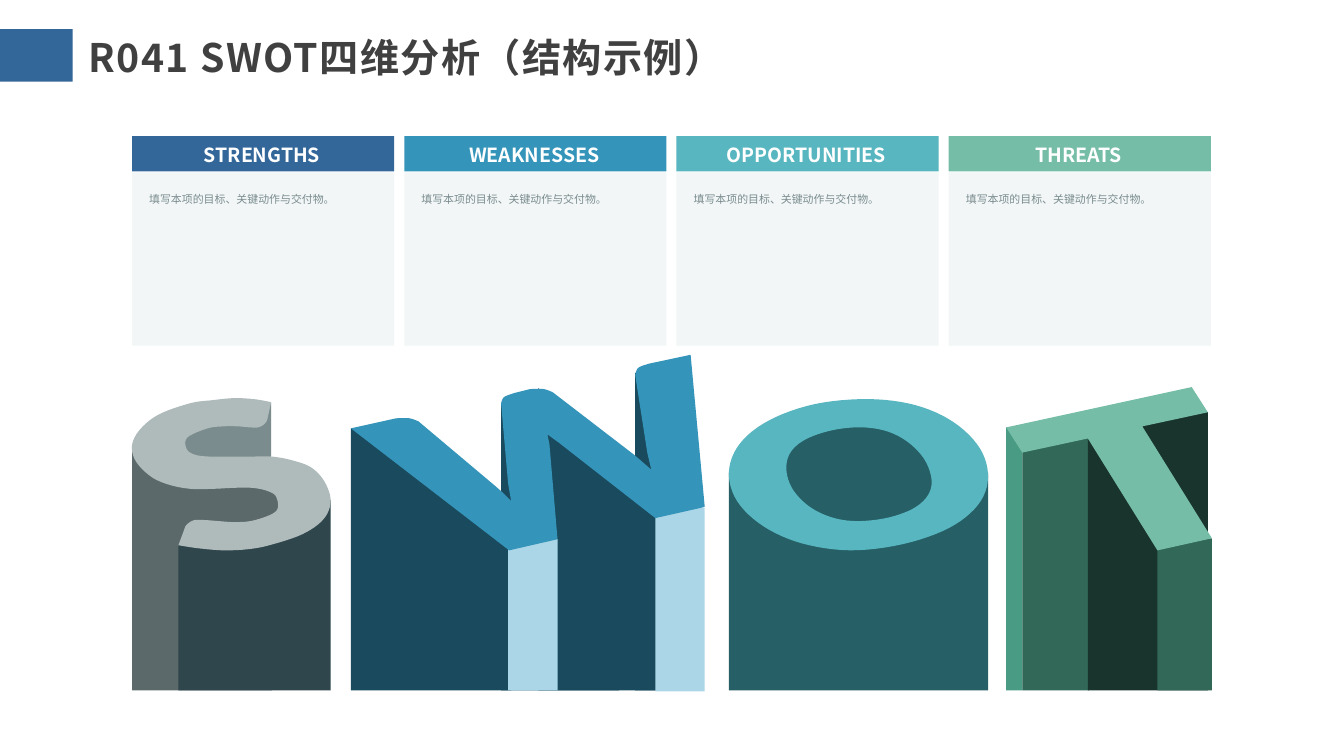
"""Build a SWOT slide: four cards above four solid letters."""
from dataclasses import dataclass
from itertools import chain

from lxml.etree import SubElement
from pptx import Presentation
from pptx.dml.color import RGBColor as Rgb
from pptx.enum.shapes import MSO_SHAPE as Kind
from pptx.enum.text import MSO_ANCHOR as Anchor, PP_ALIGN as Align
from pptx.oxml.ns import qn
from pptx.util import Cm, Pt

FONT = "Noto Sans CJK SC"
NOTE = "填写本项的目标、关键动作与交付物。"
UNIT = 2.54
STEPS = 6

Point = tuple[float, float]


@dataclass
class Card:
    name: str
    color: str


@dataclass
class Block:
    color: str
    x: float
    y: float
    w: float
    h: float


@dataclass
class Face:
    """Loops of runs split by "|"; a run of three or more points is curved."""
    color: str
    loops: list[str]


CARDS = [
    Card("STRENGTHS", "336699"),
    Card("WEAKNESSES", "3494BA"),
    Card("OPPORTUNITIES", "58B6C0"),
    Card("THREATS", "75BDA7"),
]

TEE = [
    Block("4A9B83", 9.98, 4.24, 0.16, 2.61),
    Block("316857", 10.14, 4.3, 0.66, 2.55),
    Block("19342C", 10.79, 4.09, 1.19, 2.76),
    Block("316857", 11.48, 5.34, 0.54, 1.51),
    Face("75BDA7", ["11.82,3.84 | 11.98,4.09 | 11.33,4.23 | 12.02,5.34 | "
                    "11.48,5.46 | 10.79,4.35 | 10.14,4.49 | 9.98,4.24"]),
]

OH = [
    Block("266066", 7.74, 4.17, 1.58, 1.08),
    Face("266066", ["7.23,4.69 | 7.5,4.69 | 8.56,5.4 | 9.5,4.69 | "
                    "9.8,4.69 | 9.8,6.85 | 7.23,6.85"]),
    Face("58B6C0", [
        "9.46,4.19 9.72,4.45 9.8,4.74 9.7,5.01 9.41,5.24 8.95,5.4 8.43,5.46 "
        "7.95,5.39 7.57,5.22 7.31,4.97 7.23,4.68 7.34,4.4 7.63,4.17 "
        "8.08,4.01 8.61,3.96 9.08,4.02 9.46,4.19",
        "9.24,4.76 9.17,4.56 9.01,4.39 8.8,4.28 8.54,4.24 8.25,4.27 "
        "7.99,4.36 7.84,4.49 7.8,4.66 7.86,4.85 8.02,5.02 8.24,5.13 "
        "8.49,5.17 8.79,5.14 9.05,5.05 9.2,4.92 9.24,4.76"]),
]

ESS = [
    Face("7A8C8E", ["1.74,4.15 | 2.69,4 | 2.69,4.54 | 1.83,4.54"]),
    Face("5B696B", ["1.31,4.42 | 2.97,4.73 | 2.7,6.85 | 1.31,6.85"]),
    Face("2F464C", ["3.28,4.96 | 3.28,6.85 | 1.77,6.85 | 1.77,5.41"]),
    Face("AFBABB", [
        "2.65,4.17 2.62,4.21 2.56,4.24 2.48,4.24 2.36,4.23 2.22,4.23 "
        "2.06,4.25 1.86,4.34 1.85,4.45 1.93,4.51 2.08,4.53 2.27,4.53 "
        "2.48,4.53 2.7,4.53 2.91,4.57 3.09,4.64 3.22,4.78 3.28,4.97 "
        "3.21,5.15 3,5.3 2.67,5.41 2.45,5.45 2.21,5.46 1.97,5.44 1.77,5.41 | "
        "1.84,5.22 1.87,5.19 1.93,5.16 2.04,5.16 2.17,5.17 2.34,5.18 "
        "2.53,5.16 2.74,5.07 2.74,4.93 2.65,4.87 2.5,4.84 2.32,4.84 "
        "2.11,4.85 1.89,4.85 1.68,4.81 1.5,4.73 1.35,4.58 1.31,4.42 "
        "1.39,4.26 1.58,4.11 1.89,4 2.11,3.97 2.32,3.95 2.52,3.96 2.69,3.99"]),
]

DOUBLE = [
    Block("1A4A5D", 6.3, 3.7, 0.49, 3.15),
    Face("1A4A5D", ["4.97,4 | 5.24,3.99 | 6.13,4.66 | 6.14,6.85 | 4.97,6.85"]),
    Face("1A4A5D", ["5.34,3.85 | 6.5,4.88 | 6.51,6.85 | 5.34,6.85"]),
    Face("1A4A5D", ["3.48,4.25 | 4.07,4.25 | 5.07,5.16 | 5.07,6.85 | 3.48,6.85"]),
    Block("AAD6E7", 6.5, 5.04, 0.49, 1.82),
    Block("AAD6E7", 5.04, 5.35, 0.49, 1.5),
    Face("3494BA", [
        "6.85,3.52 | 6.99,5.03 | 6.5,5.14 | 5.54,4.39 | 5.43,4.31 | "
        "5.45,4.41 | 5.53,5.35 | 5.05,5.46 | 3.48,4.25 | "
        "3.93,4.15 4.06,4.15 4.15,4.18 | 4.91,4.82 | "
        "4.99,4.89 | 5.07,4.97 | 5.04,4.8 | 4.97,4 5,3.94 5.1,3.9 | "
        "5.26,3.86 5.39,3.86 5.48,3.89 | 6.3,4.52 | 6.46,4.66 | "
        "6.42,4.49 | 6.3,3.72 6.33,3.65 6.43,3.61"]),
]


def size(val: float) -> Cm:
    return Cm(val * UNIT)


def paint(shape, color: str) -> None:
    shape.fill.solid()
    shape.fill.fore_color.rgb = Rgb.from_string(color)
    shape.line.fill.background()
    shape.shadow.inherit = False


def box(shapes, b: Block) -> None:
    paint(shapes.add_shape(Kind.RECTANGLE, *map(size, (b.x, b.y, b.w, b.h))), b.color)


def curve(run: str) -> list[Point]:
    pts = [tuple(map(float, pair.split(","))) for pair in run.split()]
    if len(pts) < 3:
        return pts
    ring = pts[0] == pts[-1]
    ends = (pts[-2], pts[1]) if ring else (pts[0], pts[-1])
    knots = [ends[0], *pts, ends[1]]
    out = [pts[0]]
    for a, b, c, d in zip(knots, knots[1:], knots[2:], knots[3:]):
        for step in range(1, STEPS + 1):
            t = step / STEPS
            out.append(tuple(
                q + t * (r - p) / 2 + t * t * (2 * p - 5 * q + 4 * r - s) / 2
                + t ** 3 * (3 * q - p - 3 * r + s) / 2
                for p, q, r, s in zip(a, b, c, d)))
    return out


def outline(shapes, face: Face) -> None:
    pen = None
    for loop in face.loops:
        pts = chain.from_iterable(map(curve, loop.split("|")))
        first, *rest = [(size(x), size(y)) for x, y in pts]
        if pen is None:
            pen = shapes.build_freeform(*first)
        else:
            pen.move_to(*first)
        pen.add_line_segments(rest, close=True)
    paint(pen.convert_to_shape(), face.color)


def letter(shapes, parts: list[Block | Face]) -> None:
    group = shapes.add_group_shape().shapes
    for part in parts:
        (box if isinstance(part, Block) else outline)(group, part)


def label(shapes, text: str, area: Block, points: float, bold: bool = False,
          pad: float = 0):
    frame = shapes.add_textbox(*map(size, (area.x, area.y, area.w, area.h))).text_frame
    frame.word_wrap = True
    frame.margin_left = frame.margin_right = size(pad)
    frame.vertical_anchor = Anchor.MIDDLE if bold else Anchor.TOP
    run = frame.paragraphs[0].add_run()
    run.text = text
    font = run.font
    font.size, font.bold, font.name = Pt(points), bold, FONT
    font.color.rgb = Rgb.from_string(area.color)
    SubElement(run._r.get_or_add_rPr(), qn("a:ea")).set("typeface", FONT)
    return frame.paragraphs[0]


def main() -> None:
    deck = Presentation()
    deck.slide_width, deck.slide_height = size(13.33), size(7.5)
    shapes = deck.slides.add_slide(deck.slide_layouts[6]).shapes
    box(shapes, Block("336699", 0, 0.29, 0.72, 0.52))
    title = label(shapes, "R041 SWOT四维分析（结构示例）",
                  Block("404040", 0.78, 0.28, 10.28, 0.57), 28, True, 0.1)
    title.runs[0].font._element.set("spc", "100")
    for parts in (TEE, OH, ESS, DOUBLE):
        letter(shapes, parts)
    for i, card in enumerate(CARDS):
        x = 1.31 + 2.7 * i
        box(shapes, Block(card.color, x, 1.35, 2.6, 0.35))
        box(shapes, Block("F2F6F7", x, 1.71, 2.6, 1.72))
        head = label(shapes, card.name, Block("FFFFFF", x + 0.31, 1.37, 1.96, 0.32), 13.9, True)
        head.alignment = Align.CENTER
        note = label(shapes, NOTE, Block("7A8C8E", x + 0.17, 1.8, 2.3, 1.44), 7.8)
        note.line_spacing = 1.5
    deck.save("out.pptx")


if __name__ == "__main__":
    main()
